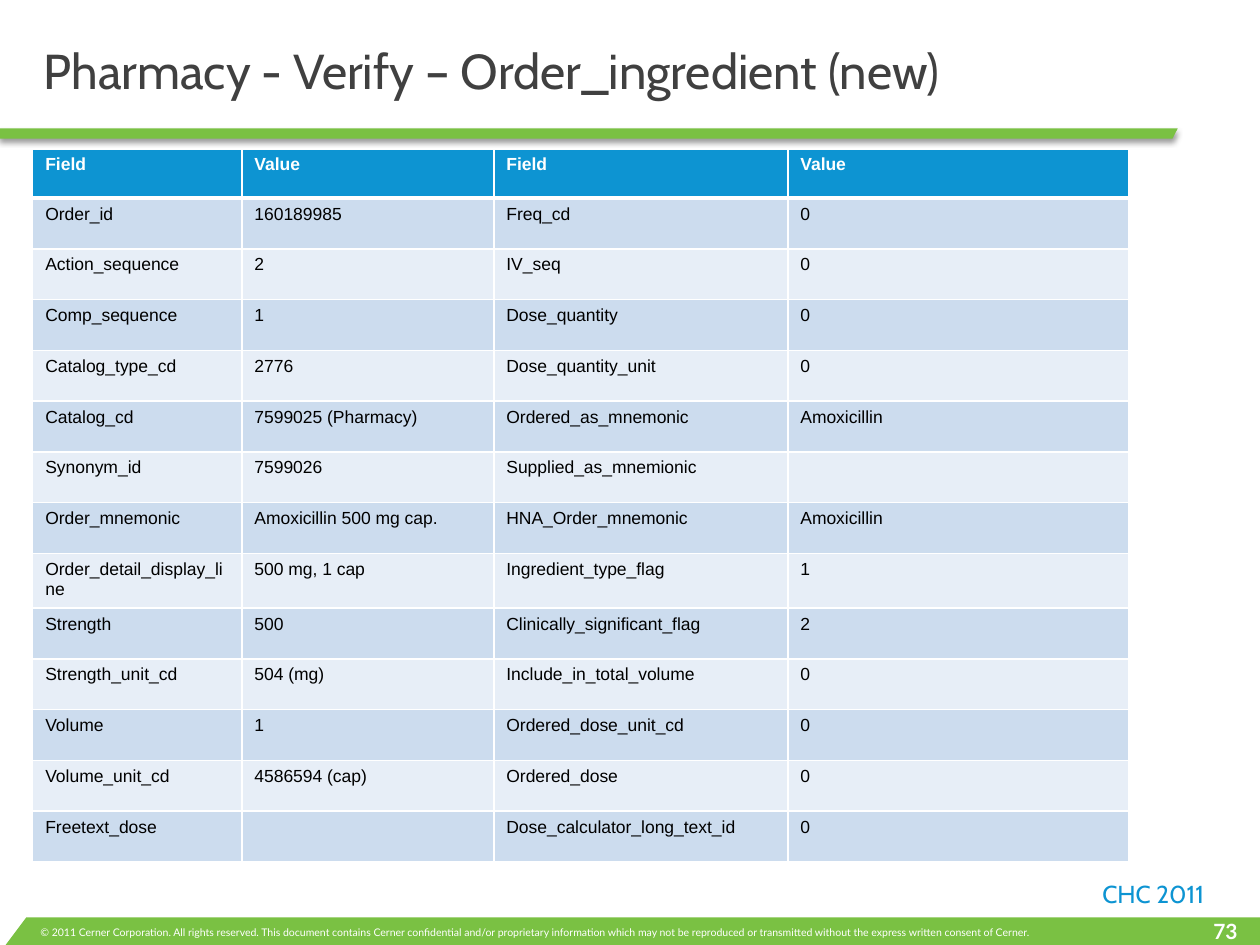
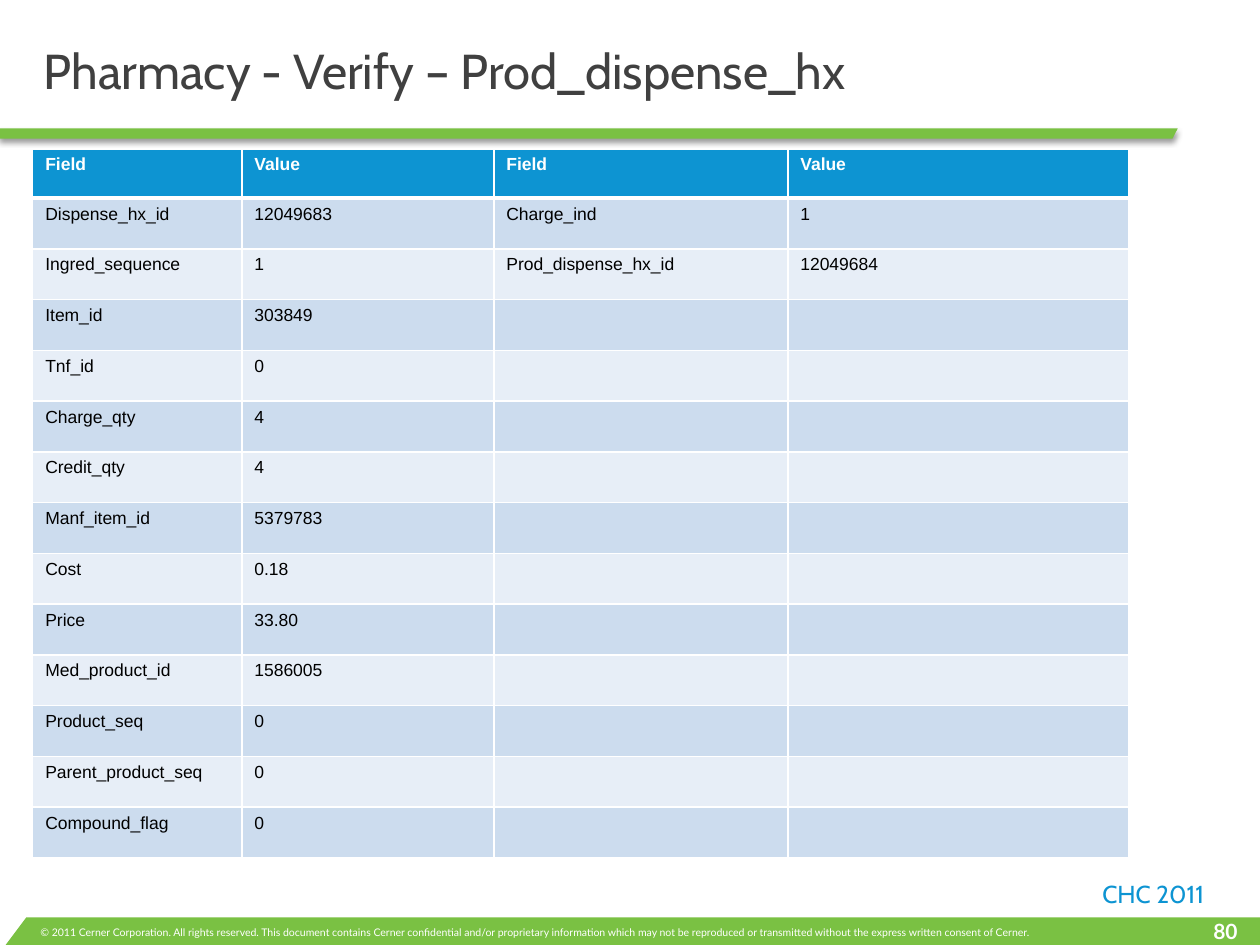
import lxml.etree
import pptx
import pptx.dml.color
import pptx.enum.text
import pptx.oxml
import pptx.oxml.ns
import pptx.util

Pt = pptx.util.Pt
GREEN = "7AC143"
BLUE = "0D94D2"
WHITE = "FFFFFF"
BLACK = "000000"
TITLE_GRAY = "404040"
BAND_FILLS = ["E7EEF7", "CCDCEE"]
COPYRIGHT = (
    "© 2011 Cerner Corporation. All rights reserved. This document contains "
    "Cerner confidential and/or proprietary information which may not be "
    "reproduced or transmitted without the express written consent of Cerner."
)
FOOTER_BAND = [(3.2, 540), (15, 524.3), (720, 524.3), (720, 540)]
TITLE_RULE = [(0, 79.2), (0, 73.4), (673, 73.4), (670, 79.2)]
COLUMN_WIDTHS = [119.5, 144, 168, 195]
HEADER_HEIGHT = 28.25
ROW_HEIGHT = 29
HEADER = ("Field", "Value", "Field", "Value")
NAMESPACE = pptx.oxml.ns.nsdecls("a")
SHADOW = (
    f'<a:outerShdw {NAMESPACE} blurRad="{Pt(3)}" dist="{Pt(2)}" dir="5400000" '
    'algn="t" rotWithShape="0"><a:srgbClr val="000000"><a:alpha val="40000"/>'
    "</a:srgbClr></a:outerShdw>"
)

pages = [
    {
        "title": "Pharmacy - Verify – Order_ingredient (new)",
        "number": "73",
        "rows": [
            ("Order_id", "160189985", "Freq_cd", "0"),
            ("Action_sequence", "2", "IV_seq", "0"),
            ("Comp_sequence", "1", "Dose_quantity", "0"),
            ("Catalog_type_cd", "2776", "Dose_quantity_unit", "0"),
            ("Catalog_cd", "7599025 (Pharmacy)", "Ordered_as_mnemonic", "Amoxicillin"),
            ("Synonym_id", "7599026", "Supplied_as_mnemionic", ""),
            ("Order_mnemonic", "Amoxicillin 500 mg cap.", "HNA_Order_mnemonic", "Amoxicillin"),
            ("Order_detail_display_line", "500 mg, 1 cap", "Ingredient_type_flag", "1"),
            ("Strength", "500", "Clinically_significant_flag", "2"),
            ("Strength_unit_cd", "504 (mg)", "Include_in_total_volume", "0"),
            ("Volume", "1", "Ordered_dose_unit_cd", "0"),
            ("Volume_unit_cd", "4586594 (cap)", "Ordered_dose", "0"),
            ("Freetext_dose", "", "Dose_calculator_long_text_id", "0"),
        ],
    },
    {
        "title": "Pharmacy - Verify – Prod_dispense_hx",
        "number": "80",
        "rows": [
            ("Dispense_hx_id", "12049683", "Charge_ind", "1"),
            ("Ingred_sequence", "1", "Prod_dispense_hx_id", "12049684"),
            ("Item_id", "303849", "", ""),
            ("Tnf_id", "0", "", ""),
            ("Charge_qty", "4", "", ""),
            ("Credit_qty", "4", "", ""),
            ("Manf_item_id", "5379783", "", ""),
            ("Cost", "0.18", "", ""),
            ("Price", "33.80", "", ""),
            ("Med_product_id", "1586005", "", ""),
            ("Product_seq", "0", "", ""),
            ("Parent_product_seq", "0", "", ""),
            ("Compound_flag", "0", "", ""),
        ],
    },
]


def color(value):
    return pptx.dml.color.RGBColor.from_string(value)


def write(text_frame, text, font_name, size, text_color, bold=False):
    text_frame.text = text
    for run in text_frame.paragraphs[0].runs:
        run.font.name = font_name
        run.font.size = Pt(size)
        run.font.bold = bold
        run.font.color.rgb = color(text_color)


presentation = pptx.Presentation()
presentation.slide_width = Pt(720)
presentation.slide_height = Pt(540)

for page in pages:
    slide = presentation.slides.add_slide(presentation.slide_layouts[6])

    for outline in (FOOTER_BAND, TITLE_RULE):
        corners = [(Pt(x), Pt(y)) for x, y in outline]
        builder = slide.shapes.build_freeform(*corners[0])
        builder.add_line_segments(corners[1:], close=True)
        shape = builder.convert_to_shape()
        shape.shadow.inherit = False
        shape.fill.solid()
        shape.fill.fore_color.rgb = color(GREEN)
        shape.line.fill.background()
    effects = shape._element.spPr.find(pptx.oxml.ns.qn("a:effectLst"))
    effects.append(lxml.etree.fromstring(SHADOW))

    for box, text, font_name, size, text_color in (
        ((16, 525.6, 690, 14.4), COPYRIGHT, "Lato", 6, WHITE),
        ((672.5, 521.3, 41.8, 18), page["number"], "Lato", 12, WHITE),
        ((622.8, 499, 97.2, 24.5), "CHC 2011", "Cabin", 14, BLUE),
        ((18, 15.8, 655, 48.2), page["title"], "Cabin", 28, TITLE_GRAY),
    ):
        shape = slide.shapes.add_textbox(*[Pt(length) for length in box])
        text_frame = shape.text_frame
        text_frame.word_wrap = True
        write(text_frame, text, font_name, size, text_color, text == page["number"])
        if text == page["number"]:
            text_frame.paragraphs[0].alignment = pptx.enum.text.PP_ALIGN.RIGHT
        if text == page["title"]:
            text_frame.vertical_anchor = pptx.enum.text.MSO_ANCHOR.MIDDLE

    rows = [HEADER] + page["rows"]
    table_height = HEADER_HEIGHT + ROW_HEIGHT * len(page["rows"])
    table = slide.shapes.add_table(
        len(rows), len(HEADER), Pt(18.7), Pt(85),
        Pt(sum(COLUMN_WIDTHS)), Pt(table_height),
    ).table
    table.horz_banding = False
    for column, width in zip(table.columns, COLUMN_WIDTHS):
        column.width = Pt(width)

    for row_index, values in enumerate(rows):
        is_header = row_index == 0
        table.rows[row_index].height = Pt(HEADER_HEIGHT if is_header else ROW_HEIGHT)
        for column_index, value in enumerate(values):
            cell = table.cell(row_index, column_index)
            properties = cell._tc.get_or_add_tcPr()
            top_width = 3 if row_index == 1 else 1
            bottom_width = 3 if is_header else 1
            for side, width in zip("LRTB", (1, 1, top_width, bottom_width)):
                properties.append(pptx.oxml.parse_xml(
                    f'<a:ln{side} {NAMESPACE} w="{Pt(width)}"><a:solidFill>'
                    f'<a:srgbClr val="{WHITE}"/></a:solidFill></a:ln{side}>'
                ))
            cell.fill.solid()
            cell.fill.fore_color.rgb = color(BLUE if is_header else BAND_FILLS[row_index % 2])
            write(cell.text_frame, value, "Arial", 10, WHITE if is_header else BLACK, is_header)

presentation.save("out.pptx")
